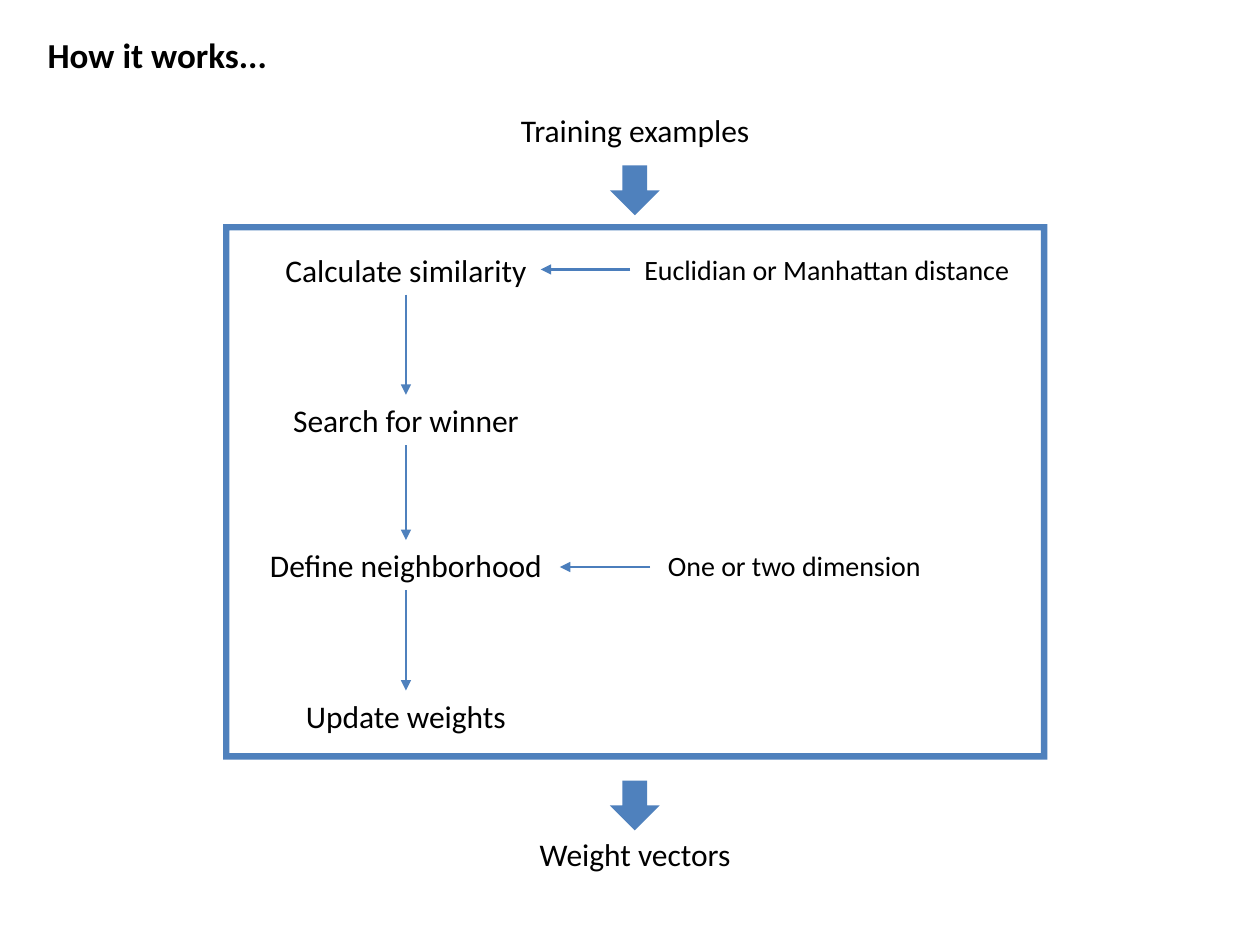
from itertools import pairwise

from pptx import Presentation
from pptx.dml.color import RGBColor
from pptx.enum.shapes import MSO_CONNECTOR as CONN, MSO_SHAPE as SHAPE
from pptx.enum.text import MSO_ANCHOR as ANCHOR, MSO_AUTO_SIZE as AUTO, PP_ALIGN as ALIGN
from pptx.oxml.ns import qn
from pptx.util import Pt
from lxml.etree import SubElement

COLORS = {"text": "000000", "block": "4F81BD", "side": "4B7EBC"}
TOP, LEFT, BOTTOM, RIGHT = range(4)


class Diagram:
    font = "Calibri"
    line_width = 1.5

    def __init__(self, slide):
        self.s = slide

    def set_text(self, sp, text, size, align, bold=False):
        tf = sp.text_frame
        tf.vertical_anchor = ANCHOR.MIDDLE
        p = tf.paragraphs[0]
        p.alignment = align
        r = p.add_run()
        r.text = text
        r.font.name = self.font
        r.font.size = Pt(size)
        r.font.bold = bold
        r.font.color.rgb = RGBColor.from_string(COLORS["text"])
        return tf

    def title(self, text, x, y, w, h):
        sp = self.s.shapes.title
        sp.left, sp.top, sp.width, sp.height = Pt(x), Pt(y), Pt(w), Pt(h)
        self.set_text(sp, text, 20, ALIGN.LEFT, bold=True)

    def label(self, text, cx, cy, w, size=18):
        """One line of text centred on (cx, cy)."""
        h = size * 1.2 + 7.2
        sp = self.s.shapes.add_textbox(Pt(cx - w / 2), Pt(cy - h / 2), Pt(w), Pt(h))
        tf = self.set_text(sp, text, size, ALIGN.CENTER)
        tf.word_wrap = False
        tf.auto_size = AUTO.SHAPE_TO_FIT_TEXT
        return sp

    def block(self, kind, x, y, w, h):
        sp = self.s.shapes.add_shape(kind, Pt(x), Pt(y), Pt(w), Pt(h))
        sp.shadow.inherit = False
        sp.fill.solid()
        sp.fill.fore_color.rgb = RGBColor.from_string(COLORS["block"])
        sp.line.fill.background()
        return sp

    def arrow(self, color, x1=0, y1=0, x2=0, y2=0):
        c = self.s.shapes.add_connector(CONN.STRAIGHT, Pt(x1), Pt(y1), Pt(x2), Pt(y2))
        c.line.width = Pt(self.line_width)
        c.line.color.rgb = RGBColor.from_string(COLORS[color])
        props = c._element.spPr
        SubElement(props.find(qn("a:ln")), qn("a:tailEnd"), type="triangle")
        SubElement(props, qn("a:effectLst"))
        return c

    def link(self, color, start, start_side, end, end_side):
        c = self.arrow(color)
        c.begin_connect(start, start_side)
        c.end_connect(end, end_side)


def main():
    prs = Presentation()
    prs.slide_width, prs.slide_height = Pt(720), Pt(540)
    d = Diagram(prs.slides.add_slide(prs.slide_layouts[5]))

    d.title("How it works...", 20, 15.5, 646, 31.2)

    # Process frame
    frame = d.block(SHAPE.FRAME, 127.5, 128, 471, 306)
    frame.adjustments[0] = 0.012

    # Steps, joined from top to bottom
    steps = [
        d.label(text, 232, cy, w)
        for text, cy, w in (
            ("Calculate similarity", 154, 154),
            ("Search for winner", 240, 145),
            ("Define neighborhood", 323, 172),
            ("Update weights", 409, 130),
        )
    ]
    for upper, lower in pairwise(steps):
        d.link("block", upper, BOTTOM, lower, TOP)

    # Options beside the steps
    distance = d.label("Euclidian or Manhattan distance", 472.5, 154, 225, 16)
    d.link("side", distance, LEFT, steps[0], RIGHT)
    d.label("One or two dimension", 454, 323, 161, 16)
    d.arrow("side", 371.5, 324, 320, 324)

    # Input and output
    for text, cy, w, arrow_y in (
        ("Training examples", 74, 147, 94.5),
        ("Weight vectors", 488, 125, 446),
    ):
        d.label(text, 363, cy, w)
        d.block(SHAPE.DOWN_ARROW, 348.5, arrow_y, 28.5, 28.5)

    prs.save("out.pptx")


if __name__ == "__main__":
    main()
